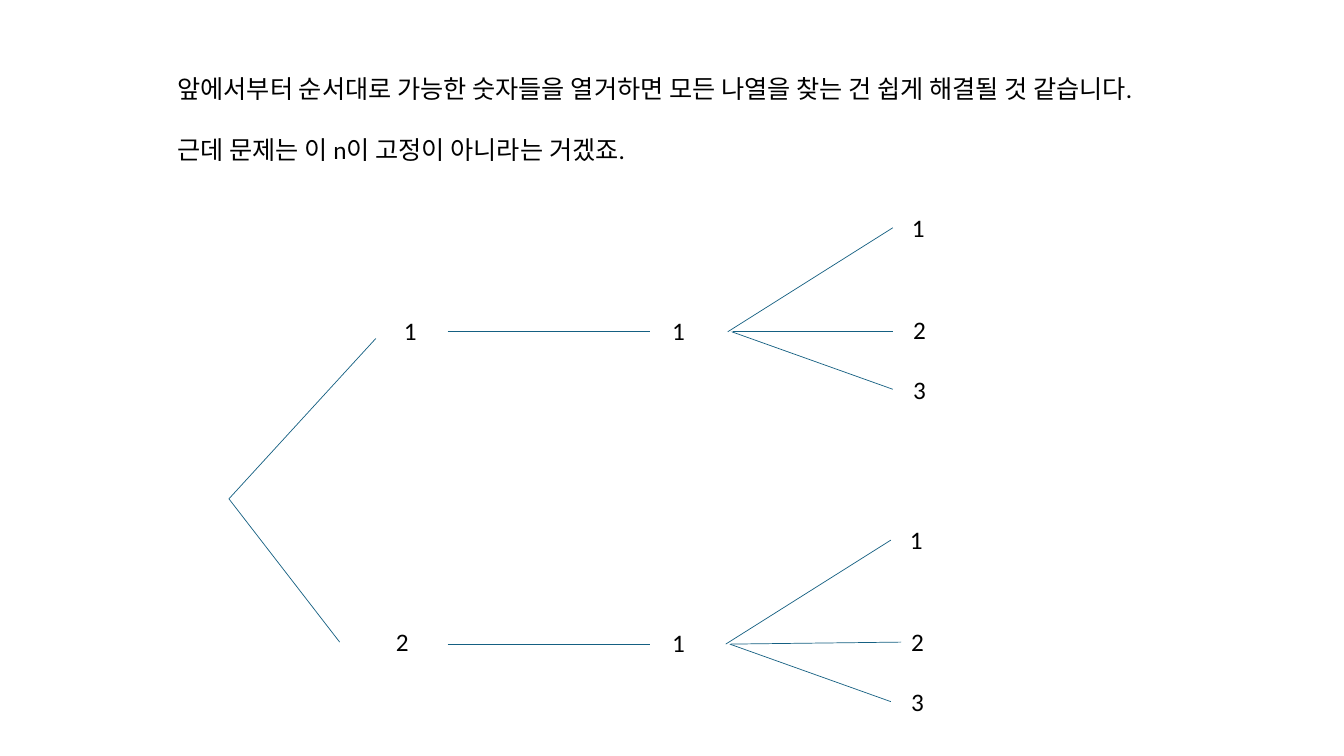
from dataclasses import dataclass

from lxml import etree
from pptx import Presentation
from pptx.dml.color import RGBColor
from pptx.enum.shapes import MSO_CONNECTOR
from pptx.enum.text import MSO_AUTO_SIZE
from pptx.oxml.ns import qn
from pptx.slide import Slide
from pptx.util import Cm, Pt

STRAIGHT = MSO_CONNECTOR.STRAIGHT
GROW = MSO_AUTO_SIZE.SHAPE_TO_FIT_TEXT

FONT = "Calibri"
BLACK = "000000"
BLUE = "156082"

Point = tuple[float, float]


@dataclass
class Branch:
    y: float
    first: str
    first_at: Point
    root_end: Point
    fan_shift: float
    straight_end: Point


@dataclass
class Leaf:
    """Last digit and its line, placed relative to the branch axis."""
    digit: str
    label: Point
    start_x: float
    end_dy: float


INTRO = [
    "앞에서부터 순서대로 가능한 숫자들을 열거하면 모든 나열을 찾는 건 쉽게 해결될 것 같습니다.",
    "근데 문제는 이 n이 고정이 아니라는 거겠죠.",
]
ROOT = (5.77, 12.57)
LEAF_END_X = 22.5
BRANCHES = [
    Branch(8.36, "1", (9.93, 7.82), (9.47, 8.53), 0, (22.5, 8.36)),
    Branch(16.23, "2", (9.73, 15.67), (8.56, 16.18), -0.05, (22.71, 16.18)),
]
LEAVES = [
    Leaf("1", (22.73, -3.13), 18.34, -2.62),
    Leaf("2", (22.76, -0.56), 18.47, 0),
    Leaf("3", (22.76, 0.94), 18.44, 1.45),
]


def rgb(value: str) -> RGBColor:
    return RGBColor.from_string(value)


def add_text(slide: Slide, lines: list[str], at: Point,
             width: float = 0.84, height: float = 1.02) -> None:
    sp = slide.shapes.add_textbox(Cm(at[0]), Cm(at[1]), Cm(width), Cm(height))
    tf = sp.text_frame
    tf.word_wrap = False
    tf.auto_size = GROW
    for i, line in enumerate(lines):
        p = tf.add_paragraph() if i else tf.paragraphs[0]
        if i:
            p.space_before = Pt(21.6)
        r = p.add_run()
        r.text = line
        r.font.name = FONT
        r.font.size = Pt(18)
        r.font.color.rgb = rgb(BLACK)


def add_line(slide: Slide, start: Point, end: Point) -> None:
    line = slide.shapes.add_connector(
        STRAIGHT, Cm(start[0]), Cm(start[1]), Cm(end[0]), Cm(end[1]))
    line.line.color.rgb = rgb(BLUE)
    line.line.width = Pt(0.5)
    etree.SubElement(line._element.spPr, qn("a:effectLst"))


def add_branch(slide: Slide, branch: Branch) -> None:
    y, shift = branch.y, branch.fan_shift
    add_line(slide, ROOT, branch.root_end)
    add_text(slide, [branch.first], branch.first_at)
    add_line(slide, (11.28, y), (16.38, y))
    add_text(slide, ["1"], (16.69, y - 0.54))
    for leaf in LEAVES:
        end = (LEAF_END_X + shift, y + leaf.end_dy)
        if leaf.end_dy == 0:
            end = branch.straight_end
        add_line(slide, (leaf.start_x + shift, y), end)
        left, dy = leaf.label
        add_text(slide, [leaf.digit], (left + shift, y + dy))


def main() -> None:
    prs = Presentation()
    prs.slide_width = Cm(33.87)
    prs.slide_height = Cm(19.05)
    slide = prs.slides.add_slide(prs.slide_layouts[6])
    add_text(slide, INTRO, (4.22, 1.73), 26.8, 2.57)
    for branch in BRANCHES:
        add_branch(slide, branch)
    prs.save("out.pptx")


if __name__ == "__main__":
    main()
